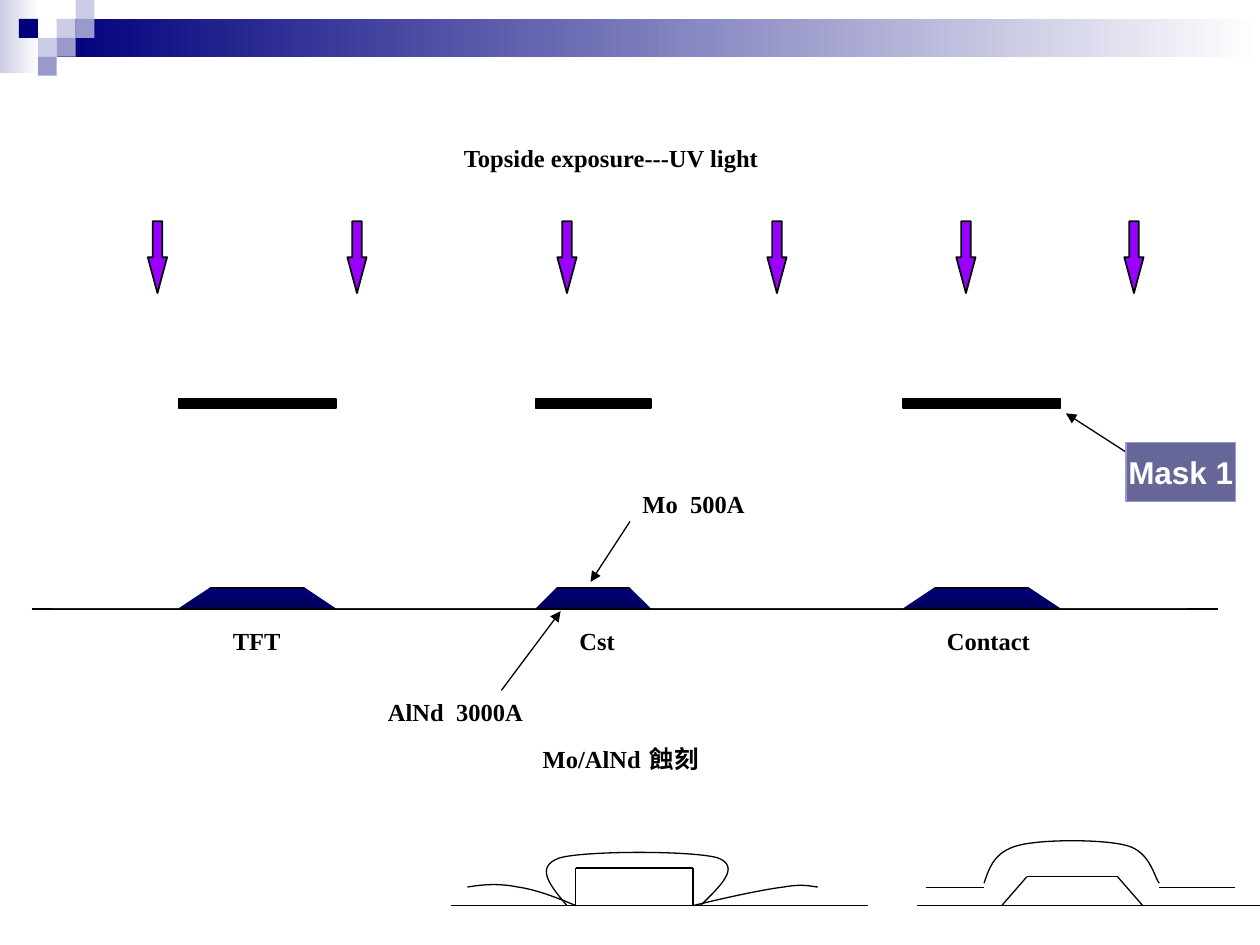
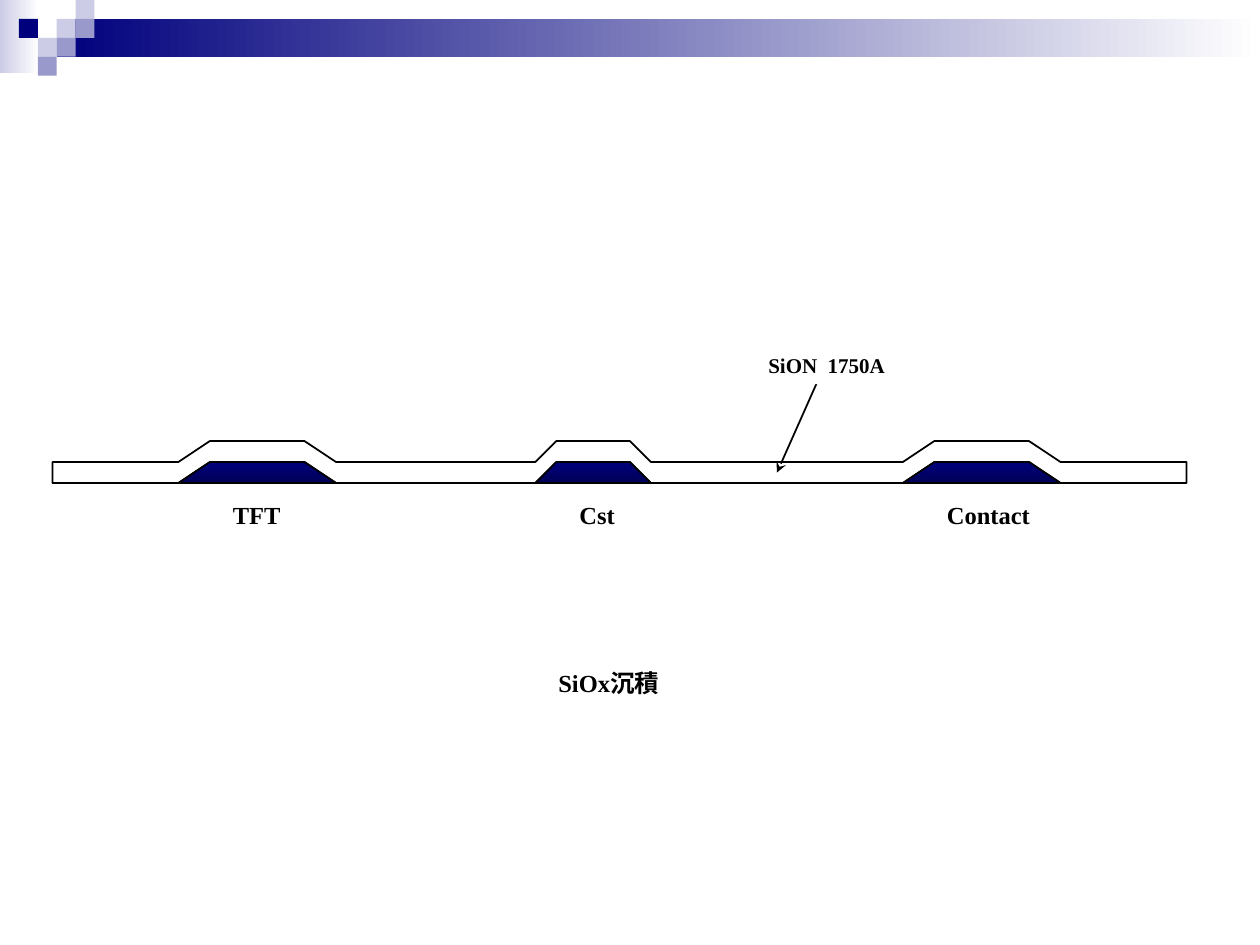
"""Builds two slides on thin-film process steps: exposure with etching, and deposition."""
from itertools import pairwise

from lxml import etree
from pptx import Presentation
from pptx.dml.color import RGBColor
from pptx.enum.shapes import MSO_CONNECTOR, MSO_SHAPE
from pptx.enum.text import MSO_ANCHOR, PP_ALIGN
from pptx.oxml.ns import qn
from pptx.util import Pt

RECT, DOWN_ARROW = MSO_SHAPE.RECTANGLE, MSO_SHAPE.DOWN_ARROW
STRAIGHT = MSO_CONNECTOR.STRAIGHT
LEFT, CENTER = PP_ALIGN.LEFT, PP_ALIGN.CENTER
TOP, MIDDLE = MSO_ANCHOR.TOP, MSO_ANCHOR.MIDDLE


class Theme:
    navy, navy_dark = "00007D", "000056"
    lilac, lavender = "9999CC", "CCCCE6"
    slate, violet = "666699", "9900FF"
    black, white = "000000", "FFFFFF"
    serif, sans = "Times New Roman", "Arial"
    small, body, large = 12, 14, 18
    thin, line = 0.75, 1
    cell, step = 10.8, 12


LEFT_EDGE, RIGHT_EDGE = 30, 678
MESAS = [(102, 120, 174, 192), (306, 318, 360, 372), (516, 534, 588, 606)]
MESA_LABELS = [("TFT", 126, 42), ("Cst", 324, 36), ("Contact", 534, 66)]
UV_CENTERS = [90, 204, 324, 444, 552, 648]
CHECKERS = [
    (3, 1, Theme.lavender), (4, 0, Theme.lavender), (4, 1, Theme.lilac),
    (2, 2, Theme.lavender), (1, 1, Theme.navy), (3, 2, Theme.lilac),
    (2, 3, Theme.lilac),
]
EXPOSURE_BASE, DEPOSITION_BASE = 348, 276

GROUND = 517.5
PROFILE_LINES = [
    [(258, GROUND), (496, GROUND)],
    [(329, GROUND), (329, 496), (396, 496), (396, GROUND)],
    [(524, GROUND), (720, GROUND)],
    [(572.4, GROUND), (586.8, 501), (638.6, 501), (653, GROUND)],
    [(529.2, 507), (562.3, 507)],
    [(662.4, 507), (705.6, 507)],
]
PROFILE_CURVES = [
    [(324, GROUND), (314.6, 506.2), (305.3, 495.4), (319.7, 490.3),
     (334.1, 486), (396.7, 486), (410.4, 490.3),
     (423.4, 495.4), (411.8, 506.2), (400.3, GROUND)],
    [(396, GROUND), (416.2, 512.6), (436.3, 508.3), (447.8, 506.9),
     (460.1, 504.7), (464.4, 506.9), (467.3, 506.9)],
    [(329, GROUND), (317.5, 512.6), (306, 508.3), (295.9, 506.9),
     (285.1, 504.7), (276.5, 505.4), (267.1, 506.9)],
    [(562.3, 504.7), (565.2, 496.1), (568.1, 486.7), (581.8, 483.1),
     (595.4, 479.5), (630, 479.5), (643.7, 483.1),
     (657.4, 486.7), (659.5, 501.1), (662.4, 504.7)],
]


def rgb(color):
    return RGBColor.from_string(color)


def paint(sp, fill=None, line=None, width=Theme.line, angle=0):
    sp.shadow.inherit = False
    if isinstance(fill, tuple):
        sp.fill.gradient()
        sp.fill.gradient_angle = angle
        for stop, color in zip(sp.fill.gradient_stops, fill):
            stop.color.rgb = rgb(color)
    elif fill:
        sp.fill.solid()
        sp.fill.fore_color.rgb = rgb(fill)
    else:
        sp.fill.background()
    if line:
        sp.line.color.rgb = rgb(line)
        sp.line.width = Pt(width)
    else:
        sp.line.fill.background()


def add_box(s, kind, x, y, w, h, fill, line=None, width=Theme.line):
    sp = s.shapes.add_shape(kind, Pt(x), Pt(y), Pt(w), Pt(h))
    paint(sp, fill, line, width)
    return sp


def write(sp, parts, size=Theme.body, font=Theme.serif, color=Theme.black,
          align=LEFT, anchor=TOP, wrap=True):
    tf = sp.text_frame
    tf.word_wrap = wrap
    tf.vertical_anchor = anchor
    p = tf.paragraphs[0]
    p.alignment = align
    p.font.size, p.font.name, p.font.bold = Pt(size), font, True
    p.font.color.rgb = rgb(color)
    for part in parts:
        r = p.add_run()
        r.text = part
        if part == " ":
            r.font.size, r.font.name = Pt(Theme.large), Theme.sans


def add_label(s, x, y, w, h, *parts, **style):
    sp = s.shapes.add_textbox(Pt(x), Pt(y), Pt(w), Pt(h))
    write(sp, parts, **style)
    return sp


def add_line(s, start, end, width=Theme.thin, head=None):
    c = s.shapes.add_connector(STRAIGHT, *map(Pt, (*start, *end)))
    c.line.color.rgb = rgb(Theme.black)
    c.line.width = Pt(width)
    if head:
        etree.SubElement(c.line._get_or_add_ln(), qn("a:tailEnd"), type=head)
    etree.SubElement(c._element.spPr, qn("a:effectLst"))


def add_outline(s, points, closed=True):
    (x, y), *rest = [(Pt(px), Pt(py)) for px, py in points]
    fb = s.shapes.build_freeform(x, y, scale=1.0)
    fb.add_line_segments(rest, close=closed)
    return fb.convert_to_shape()


def add_curve(s, points):
    sp = add_outline(s, points, closed=False)
    paint(sp, None, Theme.black, Theme.thin)
    outline = sp._element.find(".//" + qn("a:path"))
    segments = outline.findall(qn("a:lnTo"))
    for i in range(0, len(segments), 3):
        cubic = etree.SubElement(outline, qn("a:cubicBezTo"))
        for segment in segments[i:i + 3]:
            cubic.append(segment[0])
            outline.remove(segment)


def add_metal(s, points):
    paint(add_outline(s, points), (Theme.navy, Theme.navy_dark), Theme.black, angle=270)


def mesa_points(mesa, base):
    return list(zip(mesa, (base, base - Theme.step, base - Theme.step, base)))


def add_mesa_labels(s, base):
    for text, x, w in MESA_LABELS:
        add_label(s, x, base + 6, w, 24, text)


def new_slide(prs):
    s = prs.slides.add_slide(prs.slide_layouts[6])
    u = Theme.cell
    add_box(s, RECT, 0, 0, 22.3, 41.8, (Theme.lavender, Theme.white))
    add_box(s, RECT, 3 * u, u, 720 - 3 * u, 2 * u, (Theme.navy, Theme.white))
    for col, row, color in CHECKERS:
        add_box(s, RECT, col * u, row * u, u, u, color)
    return s


def add_etched_metal(s, base):
    top = base - Theme.step
    add_line(s, (18, base), (696, base), Theme.line)
    add_metal(s, [(LEFT_EDGE, base), (LEFT_EDGE, top), (RIGHT_EDGE, top), (RIGHT_EDGE, base)])
    edges = [(LEFT_EDGE,) * 4, *MESAS, (RIGHT_EDGE,) * 4]
    for before, after in pairwise(edges):
        gap = [(before[2], top - 1), (before[3], base - 1),
               (after[0], base - 1), (after[1], top - 1)]
        paint(add_outline(s, gap), Theme.white, Theme.white)


def build_exposure(prs):
    s = new_slide(prs)
    add_etched_metal(s, EXPOSURE_BASE)
    add_mesa_labels(s, EXPOSURE_BASE)
    for mesa in MESAS:
        add_box(s, RECT, mesa[0], 228.2, mesa[3] - mesa[0], 5, Theme.black, Theme.black)
    for x in UV_CENTERS:
        sp = add_box(s, DOWN_ARROW, x - 5.5, 126.5, 11, 41, Theme.violet, Theme.black)
        sp.adjustments[1] = 1.86
    add_label(s, 258, 78, 186, 24, "Topside exposure---UV light")
    add_label(s, 303, 417.6, 167, 28.8, "Mo/AlNd", " ", "蝕刻")

    add_line(s, (643.7, 258.5), (609.1, 236.2), head="triangle")
    sp = add_box(s, RECT, 643.5, 252.7, 62.6, 33.8, Theme.slate, Theme.lilac, Theme.thin)
    write(sp, ["Mask 1"], Theme.large, Theme.sans, Theme.white, CENTER, MIDDLE, False)
    add_label(s, 360, 276, 108, 24, "Mo  500A")
    add_line(s, (360, 298), (337.5, 332.5), head="triangle")
    add_line(s, (286.5, 394.5), (320.4, 349.2), head="triangle")
    add_label(s, 214.6, 394.6, 91.4, 24.5, "AlNd  3000A", align=CENTER, wrap=False)

    for points in PROFILE_LINES:
        for start, end in pairwise(points):
            add_line(s, start, end)
    for points in PROFILE_CURVES:
        add_curve(s, points)


def build_deposition(prs):
    s = new_slide(prs)
    base = DEPOSITION_BASE
    add_label(s, 312, 378, 72, 41, "SiOx沉積")
    mesas = [mesa_points(mesa, base) for mesa in MESAS]
    floor = [(LEFT_EDGE, base), *sum(mesas, []), (RIGHT_EDGE, base)]
    film = [(x, y - Theme.step) for x, y in floor] + floor[::-1]
    paint(add_outline(s, film), Theme.white, Theme.black)
    add_line(s, (468, 216), (444, 270), Theme.line, "stealth")
    sp = add_label(s, 432, 198, 83.5, 21.6, "SiON  1750A", size=Theme.small)
    paint(sp, Theme.white)
    add_line(s, (LEFT_EDGE, base), (RIGHT_EDGE, base), Theme.line)
    for points in mesas:
        add_metal(s, points)
    add_mesa_labels(s, base)


def main():
    prs = Presentation()
    prs.slide_width, prs.slide_height = Pt(720), Pt(540)
    build_exposure(prs)
    build_deposition(prs)
    prs.save("out.pptx")


if __name__ == "__main__":
    main()
